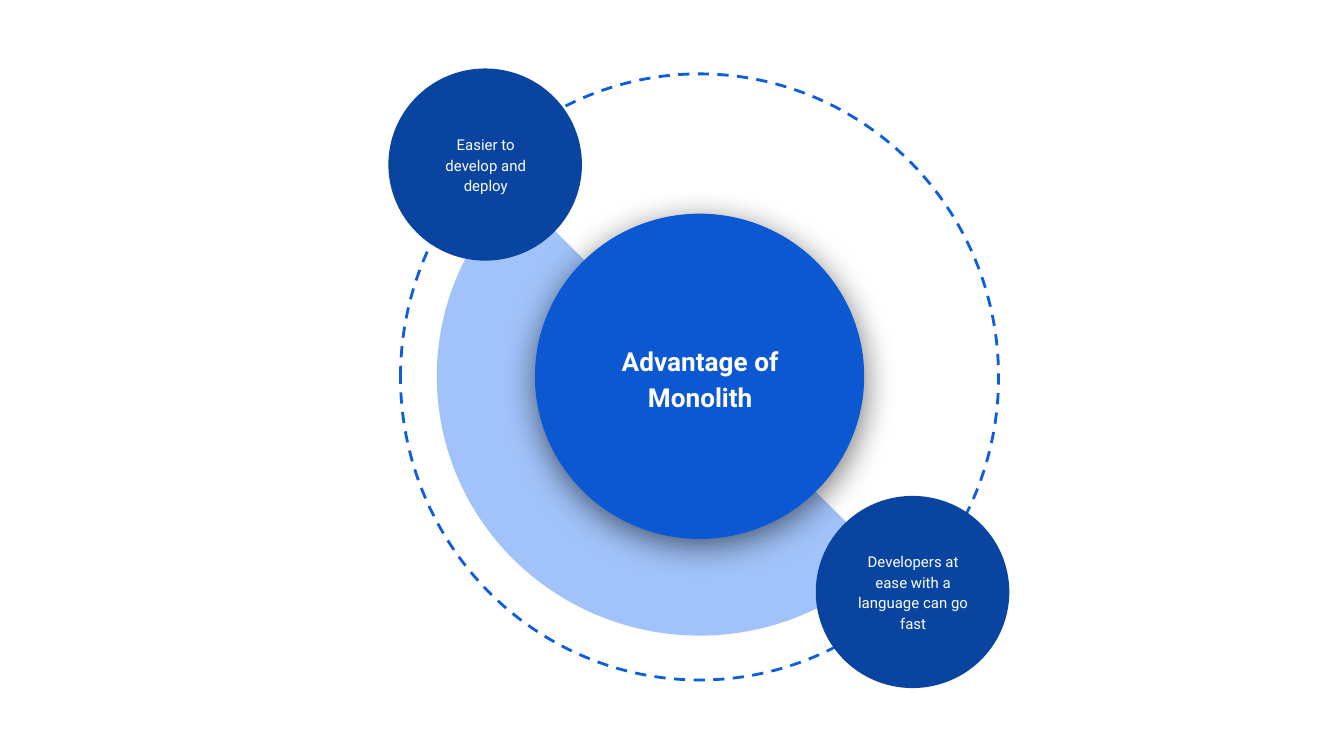
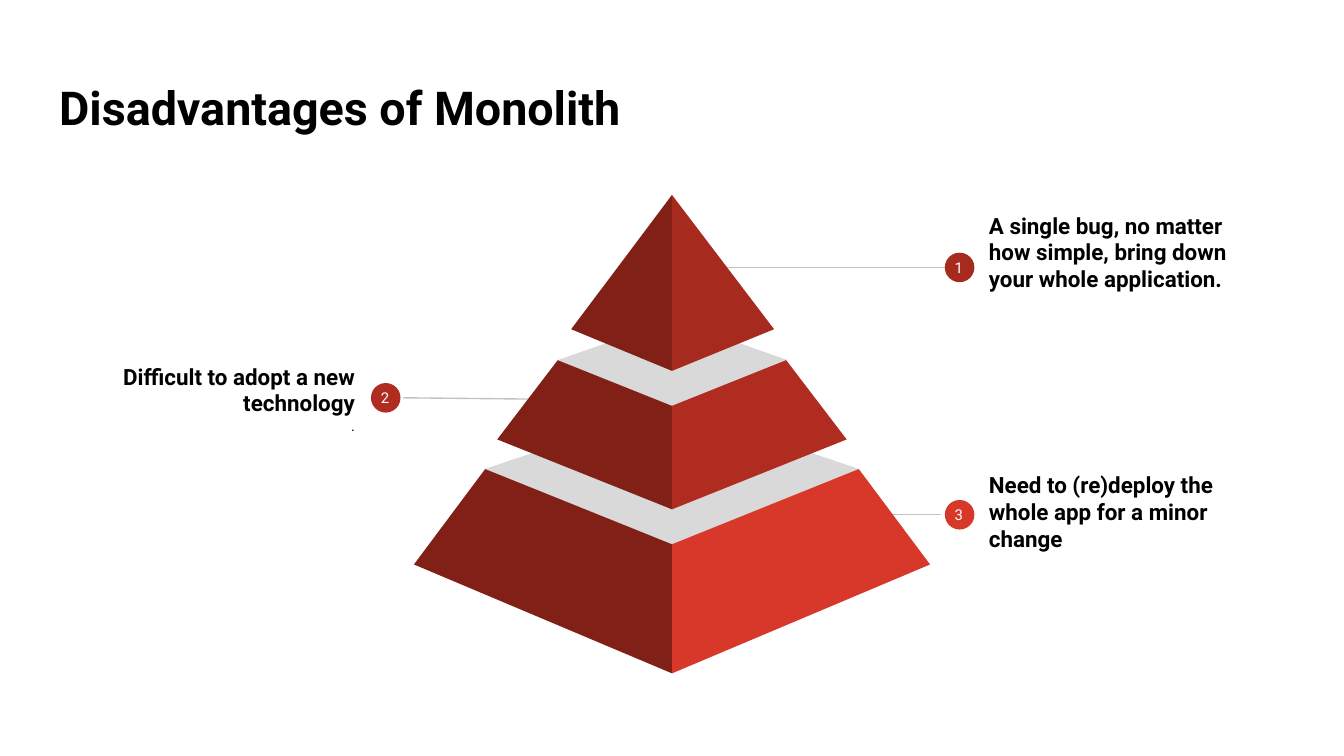
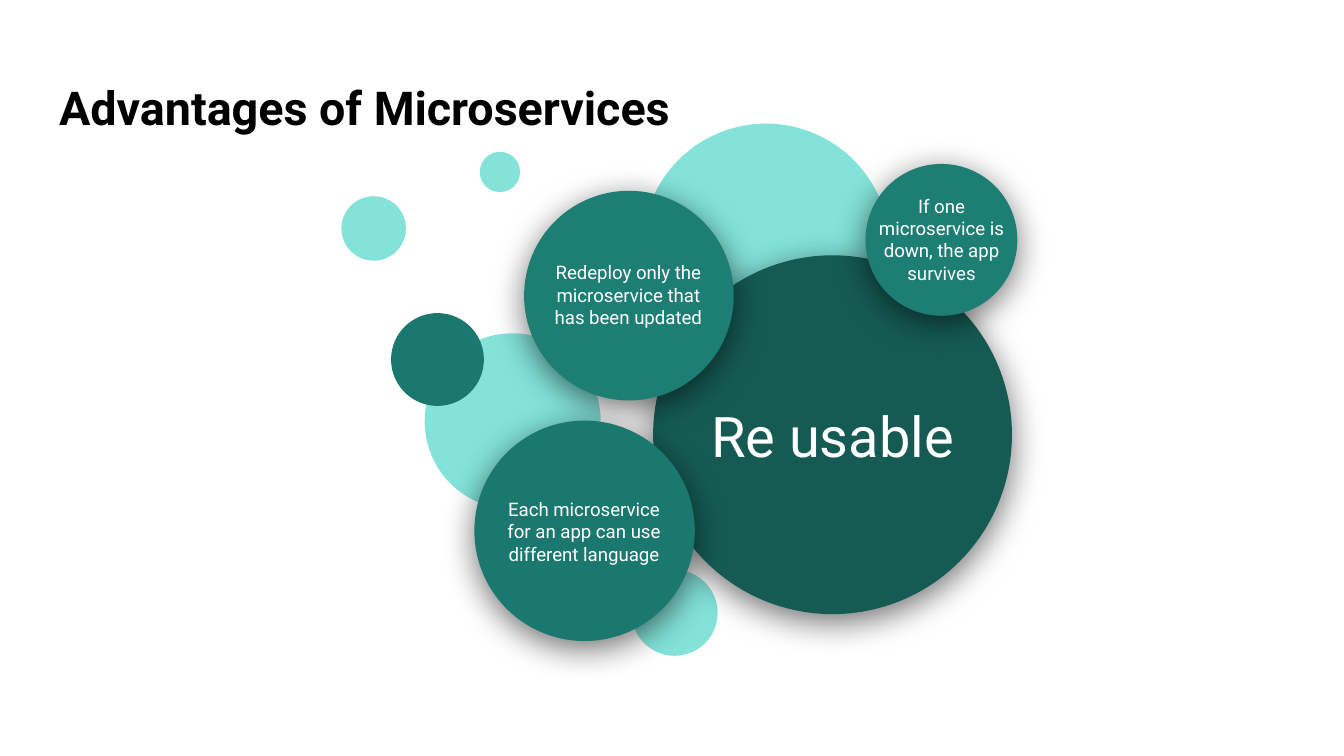
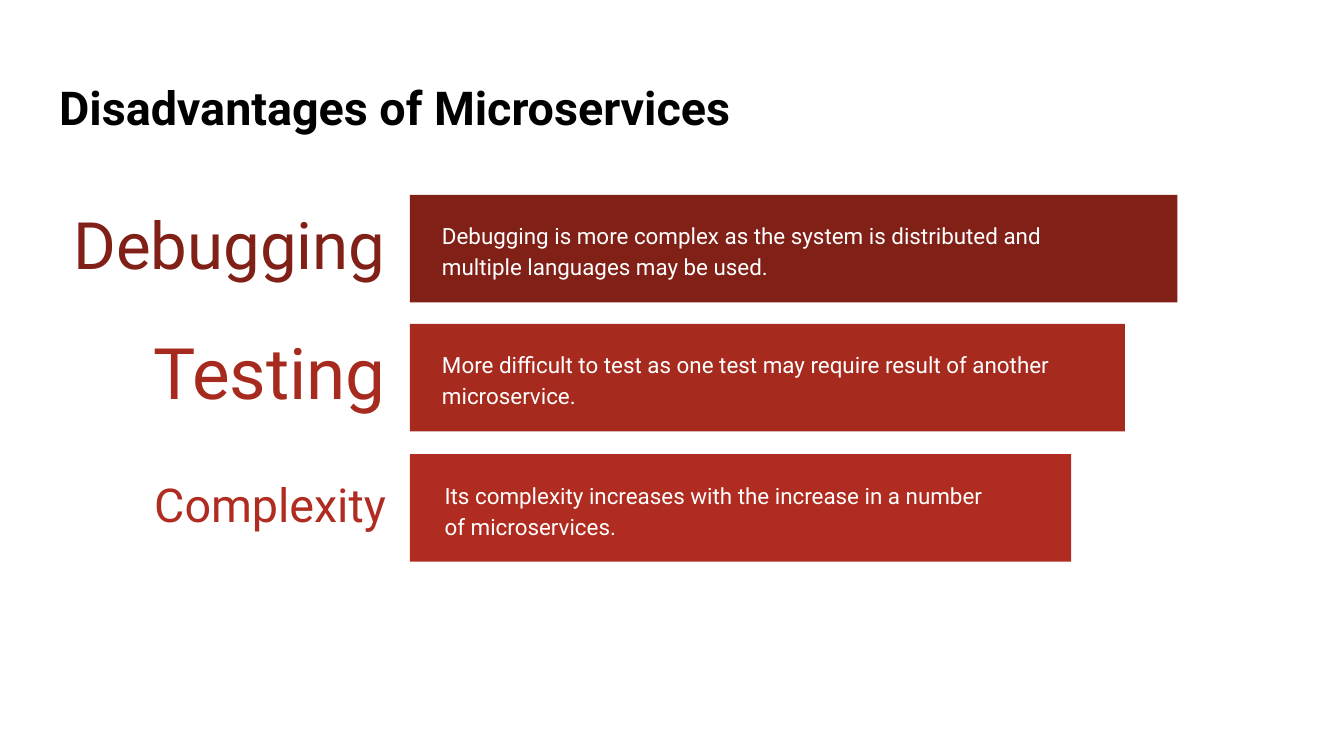
"""Build four slides comparing monolith and microservice architectures."""
import pptx
import pptx.dml.color
import pptx.enum.dml
import pptx.enum.shapes
import pptx.enum.text
import pptx.oxml
import pptx.oxml.ns
import pptx.util

PX = 9144
FONT = "Roboto"
COLORS = {
    "white": "FFFFFF", "black": "000000", "dash": "0D5DDF", "pale blue": "A1C3FA",
    "blue": "0C58D3", "navy": "0944A1", "grey": "D9D9D9", "rule": "C2C2C2",
    "dark red": "802017", "brick": "A72A1E", "red": "B02C20", "bright red": "D83829",
    "mint": "83E3D9", "teal": "1D7E74", "deep teal": "1B786E", "dark teal": "155B54",
}
RGB = {name: pptx.dml.color.RGBColor.from_string(code) for name, code in COLORS.items()}
OVAL = pptx.enum.shapes.MSO_SHAPE.OVAL
LEFT = pptx.enum.text.PP_ALIGN.LEFT
CENTER = pptx.enum.text.PP_ALIGN.CENTER
RIGHT = pptx.enum.text.PP_ALIGN.RIGHT
SHADOW = (
    f'<a:outerShdw {pptx.oxml.ns.nsdecls("a")} blurRad="228600" dist="50800" dir="5400000" '
    'algn="ctr" rotWithShape="0"><a:srgbClr val="000000"><a:alpha val="55000"/></a:srgbClr></a:outerShdw>'
)


def paint(shape, color, shadow=False):
    shape.shadow.inherit = False
    shape.fill.solid()
    shape.fill.fore_color.rgb = RGB[color]
    shape.line.fill.background()
    if shadow:
        effects = shape._element.spPr.find(pptx.oxml.ns.qn("a:effectLst"))
        effects.append(pptx.oxml.parse_xml(SHADOW))


def write(slide, box, text, size, color="white", align=CENTER, bold=False, spacing=1.0, inset=10):
    frame = slide.shapes.add_textbox(*[v * PX for v in box]).text_frame
    frame.word_wrap = True
    frame.vertical_anchor = pptx.enum.text.MSO_ANCHOR.MIDDLE
    frame.margin_left = frame.margin_right = 10 * PX
    frame.margin_top = frame.margin_bottom = inset * PX
    frame.text = text
    for paragraph in frame.paragraphs:
        paragraph.alignment = align
        paragraph.line_spacing = spacing
        paragraph.font.name = FONT
        paragraph.font.size = pptx.util.Pt(size)
        paragraph.font.bold = bold
        paragraph.font.color.rgb = RGB[color]
    return frame


deck = pptx.Presentation()
deck.slide_width = 1000 * PX
deck.slide_height = deck.slide_width * 9 // 16

monolith_pros = deck.slides.add_slide(deck.slide_layouts[6])
titled = []
for heading in ("Disadvantages of Monolith", "Advantages of Microservices",
                "Disadvantages of Microservices"):
    slide = deck.slides.add_slide(deck.slide_layouts[5])
    title = slide.shapes.title
    title.left, title.top, title.width, title.height = [v * PX for v in (34, 49, 932, 63)]
    frame = title.text_frame
    frame.text = heading
    frame.auto_size = pptx.enum.text.MSO_AUTO_SIZE.NONE
    frame.vertical_anchor = pptx.enum.text.MSO_ANCHOR.TOP
    frame.margin_left = frame.margin_right = frame.margin_top = frame.margin_bottom = 10 * PX
    paragraph = frame.paragraphs[0]
    paragraph.alignment = LEFT
    paragraph.font.name = FONT
    paragraph.font.size = pptx.util.Pt(25)
    paragraph.font.bold = True
    paragraph.font.color.rgb = RGB["black"]
    titled.append(slide)
monolith_cons, micro_pros, micro_cons = titled

orbit = monolith_pros.shapes.add_shape(OVAL, 298 * PX, 55 * PX, 445 * PX, 451 * PX)
orbit.shadow.inherit = False
orbit.fill.background()
orbit.line.color.rgb = RGB["dash"]
orbit.line.width = pptx.util.Pt(1.5)
orbit.line.dash_style = pptx.enum.dml.MSO_LINE.DASH

half_disc = monolith_pros.shapes.add_shape(
    pptx.enum.shapes.MSO_SHAPE.PIE, 325 * PX, 87 * PX, 391 * PX, 386 * PX)
half_disc.adjustments[0], half_disc.adjustments[1] = 26.9, 135.11
paint(half_disc, "pale blue")

hub = monolith_pros.shapes.add_shape(OVAL, 398 * PX, 159 * PX, 245 * PX, 242 * PX)
paint(hub, "blue", shadow=True)
write(monolith_pros, (430, 225, 182, 110), "Advantage of Monolith", 14, bold=True, spacing=1.15)

for left, top, benefit in (
    (289, 51, "Easier to develop and deploy"),
    (607, 369, "Developers at ease with a language can go fast"),
):
    satellite = monolith_pros.shapes.add_shape(OVAL, left * PX, top * PX, 144 * PX, 143 * PX)
    paint(satellite, "navy")
    write(monolith_pros, (left + 21, top + 22, 103, 98), benefit, 8, spacing=1.15)

tiers = [
    ("3", "bright red", (703, 372), (660, 383, 700, 383), (726, 305), LEFT,
     "Need to (re)deploy the whole app for a minor change",
     [("grey", [(361, 349), (500, 406), (639, 349), (500, 302)]),
      ("dark red", [(361, 349), (308, 420), (500, 501), (500, 405)]),
      ("bright red", [(639, 349), (692, 420), (500, 501), (500, 405)])]),
    ("2", "red", (276, 285), (397, 297, 300, 296), (70, 221), RIGHT,
     "Difficult to adopt a new technology\n.",
     [("grey", [(415, 268), (500, 302), (586, 268), (501, 238)]),
      ("dark red", [(415, 268), (500, 302), (500, 379), (370, 327)]),
      ("red", [(585, 268), (500, 302), (500, 379), (630, 327)])]),
    ("1", "brick", (703, 188), (537, 199, 724, 199), (726, 112), LEFT,
     "A single bug, no matter how simple, bring down your whole application.",
     [("dark red", [(500, 145), (425, 245), (500, 276)]),
      ("brick", [(500, 145), (576, 245), (500, 276)])]),
]
for number, color, (dot_left, dot_top), ends, (text_left, text_top), align, drawback, faces in tiers:
    leader = monolith_cons.shapes.add_connector(
        pptx.enum.shapes.MSO_CONNECTOR.STRAIGHT, *[v * PX for v in ends])
    leader.line.color.rgb = RGB["rule"]
    leader.line.width = pptx.util.Pt(0.75)
    leader._element.spPr.append(pptx.oxml.parse_xml(f'<a:effectLst {pptx.oxml.ns.nsdecls("a")}/>'))
    dot = monolith_cons.shapes.add_shape(OVAL, dot_left * PX, dot_top * PX, 22 * PX, 22 * PX)
    paint(dot, color)
    write(monolith_cons, (dot_left - 3, dot_top - 6, 27, 34), number, 8)
    note = write(monolith_cons, (text_left, text_top, 204, 151), drawback, 12, "black", align, bold=True)
    for closing in note.paragraphs[1:]:
        closing.font.size = pptx.util.Pt(8)
        closing.font.bold = False
    for face_color, points in faces:
        outline = monolith_cons.shapes.build_freeform(*points[0], scale=PX)
        outline.add_line_segments(points[1:], close=True)
        paint(outline.convert_to_shape(), face_color)

for left, top, size, color in (
    (470, 424, 64, "mint"), (254, 146, 48, "mint"), (316, 248, 131, "mint"),
    (478, 92, 184, "mint"), (291, 233, 69, "deep teal"), (357, 113, 30, "mint"),
):
    bubble = micro_pros.shapes.add_shape(OVAL, left * PX, top * PX, size * PX, size * PX)
    paint(bubble, color)

for left, top, size, color, text_box, benefit, points in (
    (486, 190, 267, "dark teal", (517, 272, 205, 103), "Re usable", 30),
    (390, 142, 156, "teal", (397, 168, 141, 103),
     "Redeploy only the microservice that has been updated", 10),
    (353, 313, 164, "deep teal", (366, 339, 137, 113),
     "Each microservice for an app can use different language", 10),
    (644, 122, 113, "teal", (638, 134, 125, 88),
     "If one microservice is down, the app survives", 10),
):
    bubble = micro_pros.shapes.add_shape(OVAL, left * PX, top * PX, size * PX, size * PX)
    paint(bubble, color, shadow=True)
    write(micro_pros, text_box, benefit, points)

problems = [
    ("Debugging", 35, 34, "dark red", 319, 521,
     "Debugging is more complex as the system is distributed and multiple languages may be used."),
    ("Testing", 38, 0, "brick", 319, 478,
     "More difficult to test as one test may require result of another microservice."),
    ("Complexity", 25, 83, "red", 321, 421,
     "Its complexity increases with the increase in a number of microservices."),
]
for row, (label, points, label_left, color, text_left, text_width, detail) in enumerate(problems):
    bar_top = 145 + 193 * row // 2
    bar_width = 571 - 79 * row // 2
    write(micro_cons, (label_left, bar_top + 5, 297 - label_left, 69), label, points, color,
          RIGHT, spacing=0.9, inset=5)
    bar = micro_cons.shapes.add_shape(
        pptx.enum.shapes.MSO_SHAPE.RECTANGLE, 305 * PX, bar_top * PX, bar_width * PX, 80 * PX)
    paint(bar, color)
    write(micro_cons, (text_left, bar_top + 9, text_width, 63), detail, 12, align=LEFT,
          spacing=1.15, inset=5)

deck.save("out.pptx")
